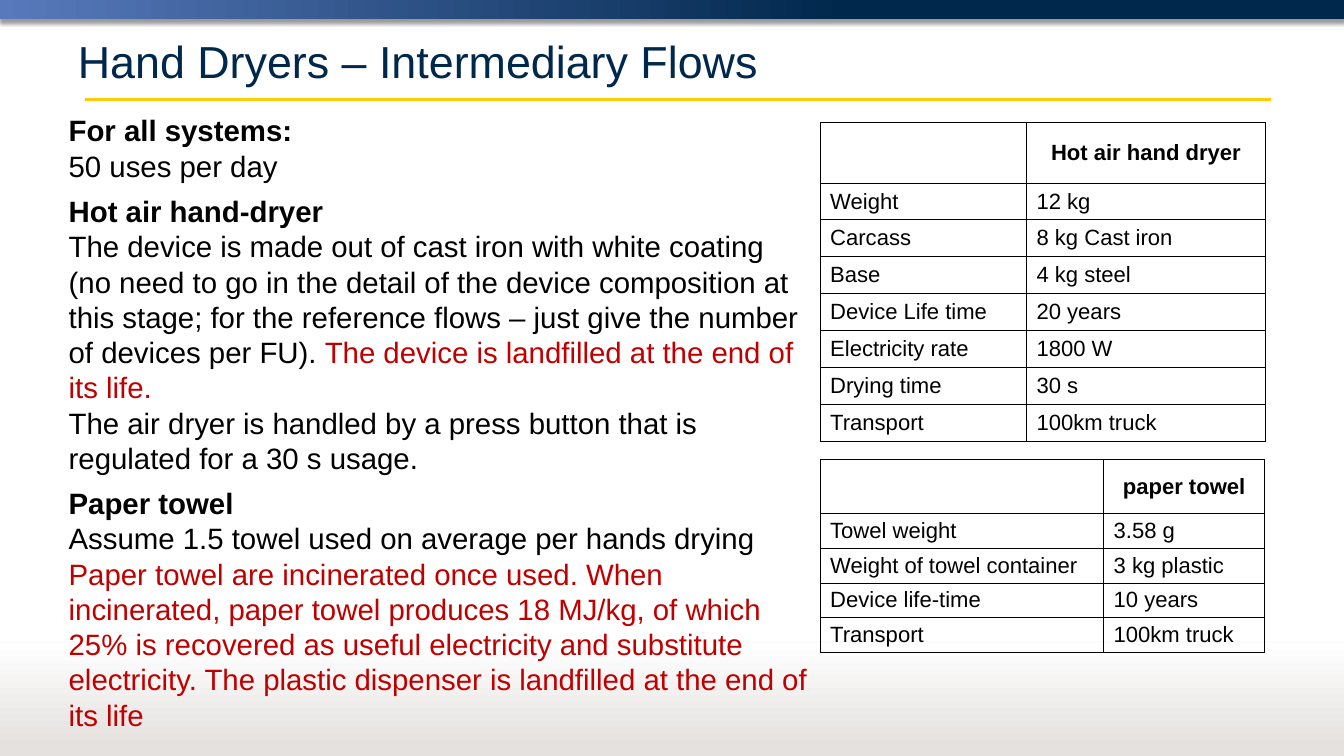
from lxml import etree
from pptx import Presentation
from pptx.dml.color import RGBColor
from pptx.enum.shapes import MSO_CONNECTOR, MSO_SHAPE
from pptx.enum.text import MSO_ANCHOR, MSO_AUTO_SIZE, PP_ALIGN
from pptx.oxml import parse_xml
from pptx.oxml.ns import nsdecls, qn
from pptx.util import Pt

RECT = MSO_SHAPE.RECTANGLE
LINE = MSO_CONNECTOR.STRAIGHT
MIDDLE = MSO_ANCHOR.MIDDLE
GROW, FIXED = MSO_AUTO_SIZE.SHAPE_TO_FIT_TEXT, MSO_AUTO_SIZE.NONE
LEFT, CENTER, JUSTIFY = PP_ALIGN.LEFT, PP_ALIGN.CENTER, PP_ALIGN.JUSTIFY
NAVY, BLACK, RED, GREY = "00274C", "000000", "C00000", "E4E1DF"
WIDTH, HEIGHT = 1280.16, 720


def hue(code):
    return RGBColor.from_string(code)


def shade(shape, alpha=0, blur=0, dist=0):
    for old in shape._element.spPr.findall(qn("a:effectLst")):
        shape._element.spPr.remove(old)
    glow = etree.SubElement(shape._element.spPr, qn("a:effectLst"))
    if alpha:
        drop = etree.SubElement(glow, qn("a:outerShdw"), blurRad=str(Pt(blur)),
                                dist=str(Pt(dist)), dir="5400000", rotWithShape="0")
        tint = etree.SubElement(drop, qn("a:srgbClr"), val=BLACK)
        etree.SubElement(tint, qn("a:alpha"), val=str(alpha * 1000))


deck = Presentation()
deck.slide_width, deck.slide_height = Pt(WIDTH), Pt(HEIGHT)
slide = deck.slides.add_slide(deck.slide_layouts[5])
shapes = slide.shapes

bands = [
    (0, 18, 0, [("587ABC", 0), (NAVY, 0.63)], (40, 4, 3)),
    (612, 108, 90, [(GREY, 0.08), ("FFFFFF", 1)], ()),
]
for top, high, angle, stops, drop in bands:
    band = shapes.add_shape(RECT, 0, Pt(top), Pt(WIDTH), Pt(high))
    band.shadow.inherit = False
    band.line.fill.background()
    band.fill.gradient()
    band.fill.gradient_angle = angle
    for stop, (code, place) in zip(band.fill.gradient_stops, stops):
        stop.color.rgb = hue(code)
        stop.position = place
    shade(band, *drop)

rules = [
    (80.64, 1210.32, 95.04, "FFCB05", 3, 100, ()),
    (0, WIDTH, 611.28, GREY, 0.75, 30, (38, 3.1, 1.6)),
]
for start, end, top, code, wide, alpha, drop in rules:
    rule = shapes.add_connector(LINE, Pt(start), Pt(top), Pt(end), Pt(top))
    rule.line.color.rgb = hue(code)
    rule.line.width = Pt(wide)
    tint = rule._element.spPr.find(".//" + qn("a:srgbClr"))
    etree.SubElement(tint, qn("a:alpha"), val=str(alpha * 1000))
    shade(rule, *drop)

title = shapes.title
spot = {"left": 66.96, "top": 10.8, "width": 1279.44, "height": 92.88}
for name, value in spot.items():
    setattr(title, name, Pt(value))
frame = title.text_frame
frame.text = "Hand Dryers – Intermediary Flows"
frame.auto_size = FIXED
frame.vertical_anchor = MIDDLE
para = frame.paragraphs[0]
para.alignment = LEFT
for name, value in {"name": "Arial", "size": Pt(42.7), "bold": False}.items():
    setattr(para.font, name, value)
para.font.color.rgb = hue(NAVY)

tables = [
    (116.64, [196.56, 227.52], 57.6, 35.2, [
        ("", "Hot air hand dryer"),
        ("Weight", "12 kg"),
        ("Carcass", "8 kg Cast iron"),
        ("Base", "4 kg steel"),
        ("Device Life time", "20 years"),
        ("Electricity rate", "1800 W"),
        ("Drying time", "30 s"),
        ("Transport", "100km truck"),
    ]),
    (437.76, [270, 153.36], 51.4, 33, [
        ("", "paper towel"),
        ("Towel weight", "3.58 g"),
        ("Weight of towel container", "3 kg plastic"),
        ("Device life-time", "10 years"),
        ("Transport", "100km truck"),
    ]),
]
inset = {"margin_left": Pt(9.6), "margin_right": Pt(9.6), "margin_top": Pt(4.8),
         "margin_bottom": Pt(4.8), "vertical_anchor": MIDDLE}
for top, cols, head, step, rows in tables:
    high = head + step * (len(rows) - 1)
    grid = shapes.add_table(len(rows), 2, Pt(781.2), Pt(top), Pt(sum(cols)), Pt(high)).table
    grid.first_row = grid.horz_banding = False
    for col, wide in zip(grid.columns, cols):
        col.width = Pt(wide)
    for r, row in enumerate(rows):
        grid.rows[r].height = Pt(step if r else head)
        for c, text in enumerate(row):
            cell = grid.cell(r, c)
            cell.text = text
            for name, value in inset.items():
                setattr(cell, name, value)
            para = cell.text_frame.paragraphs[0]
            para.alignment = JUSTIFY if r else CENTER
            props = para._p.get_or_add_pPr()
            props.set("marL", str(Pt(27)))
            props.set("indent", str(Pt(-27)))
            look = {"name": "Arial", "size": Pt(21), "bold": r == 0}
            for name, value in look.items():
                setattr(para.font, name, value)
            para.font.color.rgb = hue(BLACK)
            for side in ("lnL", "lnR", "lnT", "lnB"):
                cell._tc.get_or_add_tcPr().append(parse_xml(
                    f'<a:{side} {nsdecls("a")} w="{Pt(1)}"><a:solidFill>'
                    f'<a:srgbClr val="{BLACK}"/></a:solidFill></a:{side}>'))
            cell.fill.background()

notes = [
    (True, [("For all systems:", BLACK)]),
    (False, [("50 uses per day", BLACK)]),
    (True, [("Hot air hand-dryer", BLACK)]),
    (False, [("The device is made out of cast iron with white coating (no need to go in "
              "the detail of the device composition at this stage; for the reference "
              "flows – just give the number of devices per FU). ", BLACK),
             ("The device is landfilled at the end of its life.", RED)]),
    (False, [("The air dryer is handled by a press button that is regulated for "
              "a 30 s usage.", BLACK)]),
    (True, [("Paper towel", BLACK)]),
    (False, [("Assume 1.5 towel used on average per hands drying", BLACK)]),
    (False, [("Paper towel are incinerated once used. When incinerated, paper towel "
              "produces 18 MJ/kg, of which 25% is recovered as useful electricity and "
              "substitute electricity. The plastic dispenser is landfilled at the end "
              "of its life", RED)]),
]
body = shapes.add_textbox(Pt(58.32), Pt(103.68), Pt(723.6), Pt(637.2))
frame = body.text_frame
frame.word_wrap = True
frame.auto_size = GROW
for i, (bold, parts) in enumerate(notes):
    para = frame.add_paragraph() if i else frame.paragraphs[0]
    para.line_spacing = Pt(33.6)
    para.space_before = Pt(9.5 if bold and i else 0)
    for text, code in parts:
        run = para.add_run()
        run.text = text
        for name, value in {"name": "Arial", "size": Pt(28), "bold": bold}.items():
            setattr(run.font, name, value)
        run.font.color.rgb = hue(code)

deck.save("out.pptx")
